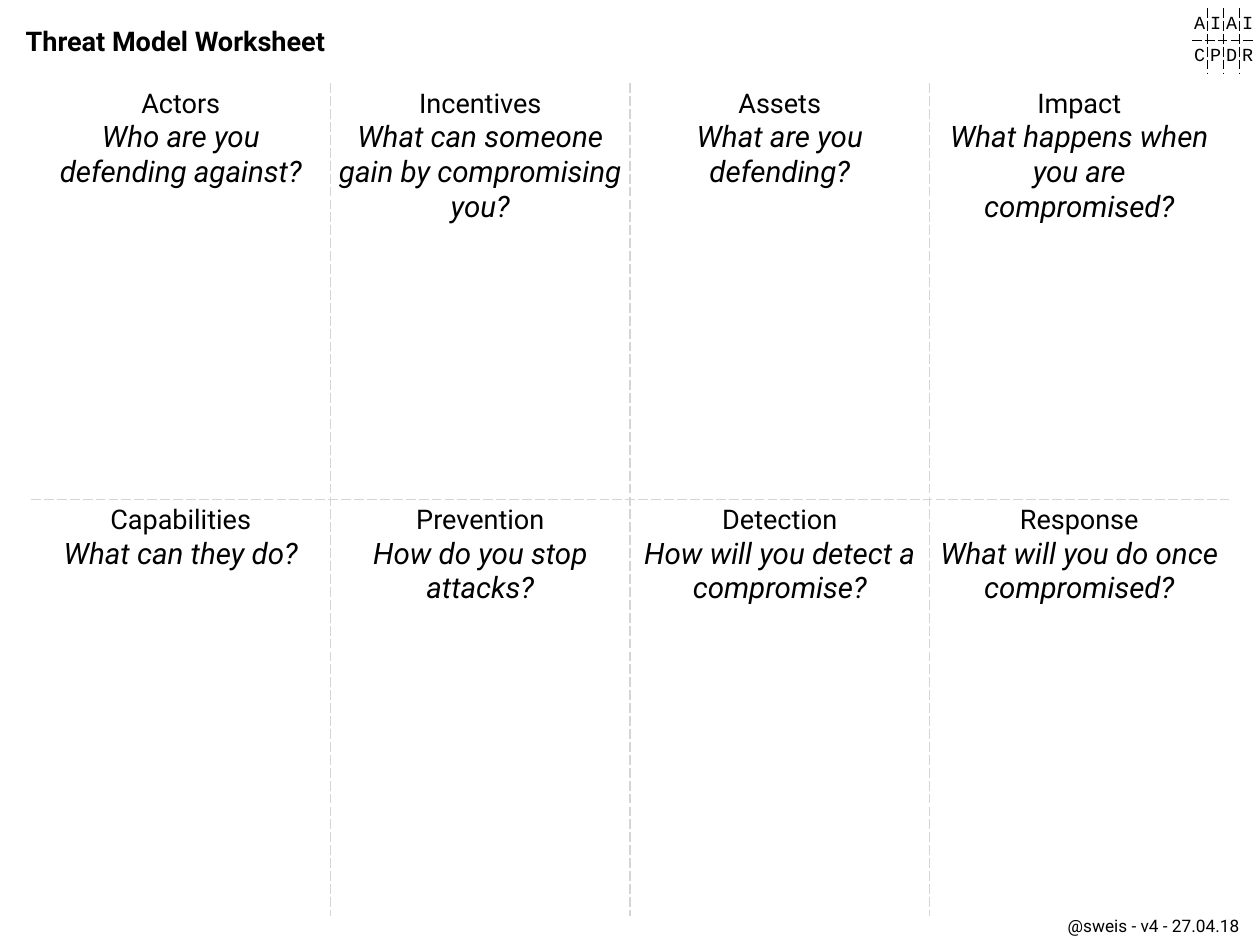
import pptx
import pptx.util
import pptx.dml.color
import pptx.enum.text
import pptx.oxml

inch = pptx.util.Inches
anchor = pptx.enum.text.MSO_ANCHOR
align = pptx.enum.text.PP_ALIGN
colors = {"text": "000000", "grid": "D6D5D5"}
pad = inch(0.06)
space = 'xmlns:a="http://schemas.openxmlformats.org/drawingml/2006/main"'


def style(para, text, size, font="Roboto"):
    para.text = text
    para.alignment = align.CENTER
    para.font.size = pptx.util.Pt(size)
    para.font.name = font
    para.font.color.rgb = pptx.dml.color.RGBColor.from_string(colors["text"])


def add_grid(slide, box, color, side_pad):
    """Add a 2 by 4 table with dashed lines between its cells only."""
    table = slide.shapes.add_table(2, 4, *map(inch, box)).table
    table.first_row = table.horz_banding = False
    for row in range(2):
        for col in range(4):
            cell = table.cell(row, col)
            cell.margin_left = cell.margin_right = side_pad
            cell.margin_top = cell.margin_bottom = pad
            cell.fill.background()
            inner = {"L": col > 0, "R": col < 3, "T": row > 0, "B": row < 1}
            for place, (side, shown) in enumerate(inner.items()):
                paint = "<a:noFill/>"
                if shown:
                    paint = (f'<a:solidFill><a:srgbClr val="{color}"/></a:solidFill>'
                             '<a:prstDash val="lgDash"/>')
                line = pptx.oxml.parse_xml(
                    f'<a:ln{side} {space} w="12700">{paint}</a:ln{side}>')
                cell._tc.get_or_add_tcPr().insert(place, line)
    return table


deck = pptx.Presentation()
deck.slide_width = inch(14.22)
deck.slide_height = inch(10.67)
slide = deck.slides.add_slide(deck.slide_layouts[5])

# Worksheet grid
topics = [
    [("Actors", "Who are you defending against?"),
     ("Incentives", "What can someone gain by compromising you?"),
     ("Assets", "What are you defending?"),
     ("Impact", "What happens when you are compromised?")],
    [("Capabilities", "What can they do?"),
     ("Prevention", "How do you stop attacks?"),
     ("Detection", "How will you detect a compromise?"),
     ("Response", "What will you do once compromised?")],
]
sheet = add_grid(slide, (0.35, 0.94, 13.52, 9.4), colors["grid"], pad)
for row, line in enumerate(topics):
    for col, (topic, question) in enumerate(line):
        frame = sheet.cell(row, col).text_frame
        style(frame.paragraphs[0], topic, 22)
        para = frame.add_paragraph()
        style(para, question, 24)
        para.font.italic = True

# Title and version line
title = slide.shapes.title
title.left, title.top, title.width, title.height = map(inch, (0.23, 0.22, 3.69, 0.48))
note = slide.shapes.add_textbox(*map(inch, (11.99, 10.28, 2.06, 0.34)))
for shape, text, size in [(title, "Threat Model Worksheet", 22),
                          (note, "@sweis - v4 - 27.04.18", 14)]:
    frame = shape.text_frame
    frame.margin_left = frame.margin_right = pad
    frame.margin_top = frame.margin_bottom = pad
    frame.vertical_anchor = anchor.MIDDLE
    frame.word_wrap = False
    frame.auto_size = pptx.enum.text.MSO_AUTO_SIZE.NONE
    style(frame.paragraphs[0], text, size)
head = title.text_frame.paragraphs[0]
head.alignment = align.LEFT
head.font.bold = True

# Small key with the initials of the topics, padded so each letter fits its cell
key = add_grid(slide, (13.45, 0.09, 0.72, 0.74), colors["text"], inch(0.02))
for row, line in enumerate(topics):
    for col, (topic, question) in enumerate(line):
        cell = key.cell(row, col)
        cell.vertical_anchor = anchor.TOP if row else anchor.BOTTOM
        style(cell.text_frame.paragraphs[0], topic[0], 15, "Courier New")

deck.save("out.pptx")
